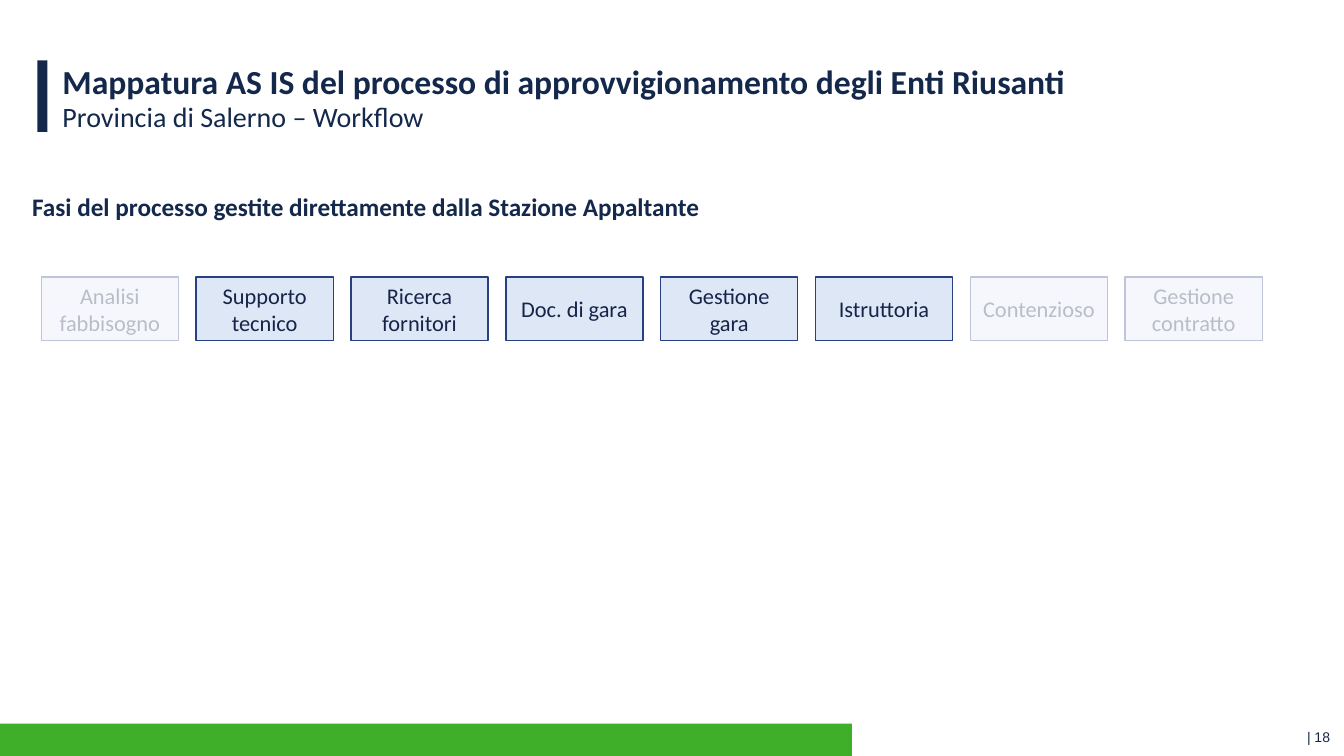
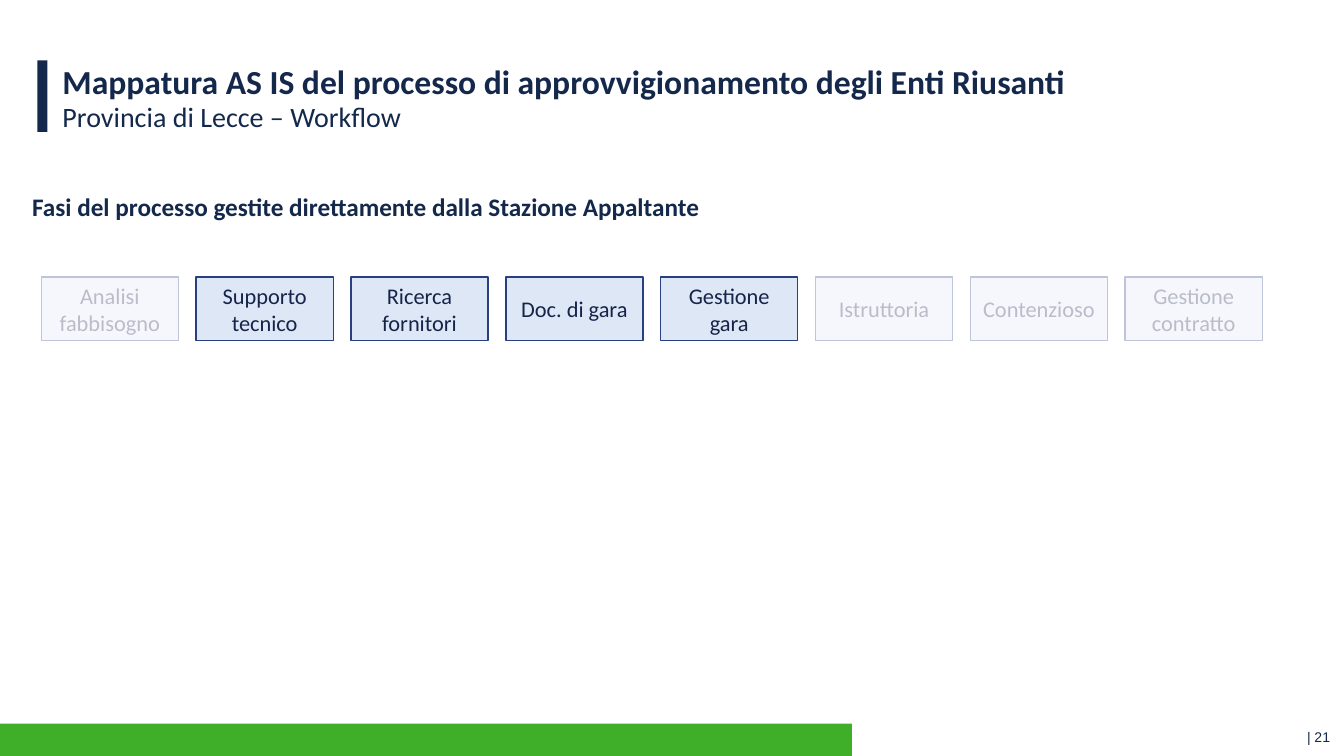
from dataclasses import dataclass

from pptx import Presentation
from pptx.dml.color import RGBColor as RGB
from pptx.enum.shapes import MSO_SHAPE as Shape
from pptx.enum.text import MSO_ANCHOR as Anchor, PP_ALIGN as Align
from pptx.oxml.ns import qn
from pptx.util import Inches, Pt
from lxml import etree


@dataclass(frozen=True)
class Theme:
    navy: str = "14284B"
    green: str = "3FAE29"
    ink: str = "17244A"
    head: str = "13284A"
    pale: str = "DEE7F6"
    edge: str = "283F80"
    white: str = "FFFFFF"
    font: str = "Calibri"
    small: str = "Arial"
    title: int = 24
    sub: int = 20
    lead: int = 18
    step: int = 16
    page: int = 10


THEME = Theme()
TITLE = "Mappatura AS IS del processo di approvvigionamento degli Enti Riusanti"
LEAD = "Fasi del processo gestite direttamente dalla Stazione Appaltante"
STEPS = ["Analisi fabbisogno", "Supporto tecnico", "Ricerca fornitori", "Doc. di gara",
         "Gestione gara", "Istruttoria", "Contenzioso", "Gestione contratto"]
SLIDES = [
    ("Provincia di Salerno – Workflow", 18, [(0.27, 1.57), (9.58, 2.99)]),
    ("Provincia di Lecce – Workflow", 21, [(0.27, 1.57), (7.99, 4.66)]),
]
LEFT, RIGHT, WIDE = 0.41, 12.52, 1.36


def write(frame, text, size, color, font=THEME.font, bold=False, align=Align.LEFT):
    frame.text = text
    para = frame.paragraphs[0]
    para.alignment = align
    style = para.runs[0].font
    style.name, style.size, style.bold = font, Pt(size), bold
    style.color.rgb = RGB.from_string(color)


def add_text(slide, box, text, size, color, inset=None, wrap=True, **style):
    frame = slide.shapes.add_textbox(*map(Inches, box)).text_frame
    frame.word_wrap = wrap
    if inset is not None:
        frame.margin_left = frame.margin_right = Inches(inset)
        frame.margin_top = frame.margin_bottom = 0
    write(frame, text, size, color, **style)


def add_rect(slide, box, fill, line=None):
    rect = slide.shapes.add_shape(Shape.RECTANGLE, *map(Inches, box))
    rect.shadow.inherit = False
    rect.fill.solid()
    rect.fill.fore_color.rgb = RGB.from_string(fill)
    if line:
        rect.line.color.rgb = RGB.from_string(line)
        rect.line.width = Pt(1)
    else:
        rect.line.fill.background()
    return rect


def add_step(slide, left, text):
    rect = add_rect(slide, (left, 2.75, WIDE, 0.63), THEME.pale, THEME.edge)
    rect.text_frame.word_wrap = True
    rect.text_frame.vertical_anchor = Anchor.MIDDLE
    write(rect.text_frame, text, THEME.step, THEME.ink, align=Align.CENTER)


def add_veil(slide, left, width):
    veil = add_rect(slide, (left, 2.33, width, 1.65), THEME.white)
    color = veil.fill._xPr.find(qn("a:solidFill"))[0]
    etree.SubElement(color, qn("a:alpha")).set("val", "70000")


def add_frame(slide, sub, page):
    add_rect(slide, (0, 7.18, 8.45, 0.32), THEME.green)
    add_rect(slide, (0.37, 0.6, 0.1, 0.71), THEME.navy)
    add_text(slide, (10.13, 7.18, 3.16, 0.27), f"| {page}", THEME.page, THEME.navy,
             font=THEME.small, align=Align.RIGHT)
    add_text(slide, (0.58, 0.6, 12, 0.39), TITLE, THEME.title, THEME.navy, inset=0.04, bold=True)
    add_text(slide, (0.58, 0.99, 12, 0.39), sub, THEME.sub, THEME.navy, inset=0.04)


def add_flow(slide, veils):
    pitch = (RIGHT - LEFT - WIDE) / (len(STEPS) - 1)
    for i, step in enumerate(STEPS):
        add_step(slide, LEFT + i * pitch, step)
    add_text(slide, (0.22, 1.85, 6.88, 0.4), LEAD, THEME.lead, THEME.head, wrap=False, bold=True)
    for left, width in veils:
        add_veil(slide, left, width)


def main():
    deck = Presentation()
    deck.slide_width, deck.slide_height = Inches(13.33), Inches(7.5)
    for sub, page, veils in SLIDES:
        slide = deck.slides.add_slide(deck.slide_layouts[6])
        add_frame(slide, sub, page)
        add_flow(slide, veils)
    deck.save("out.pptx")


if __name__ == "__main__":
    main()
